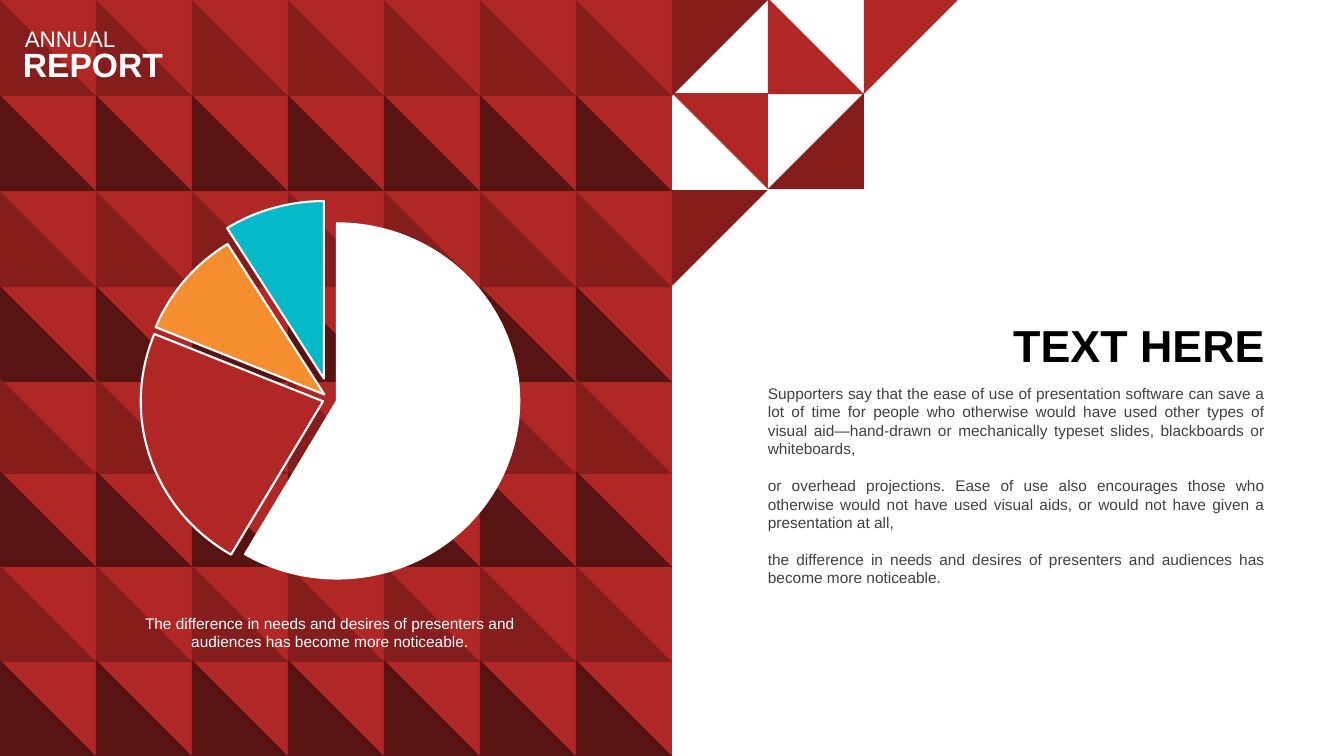
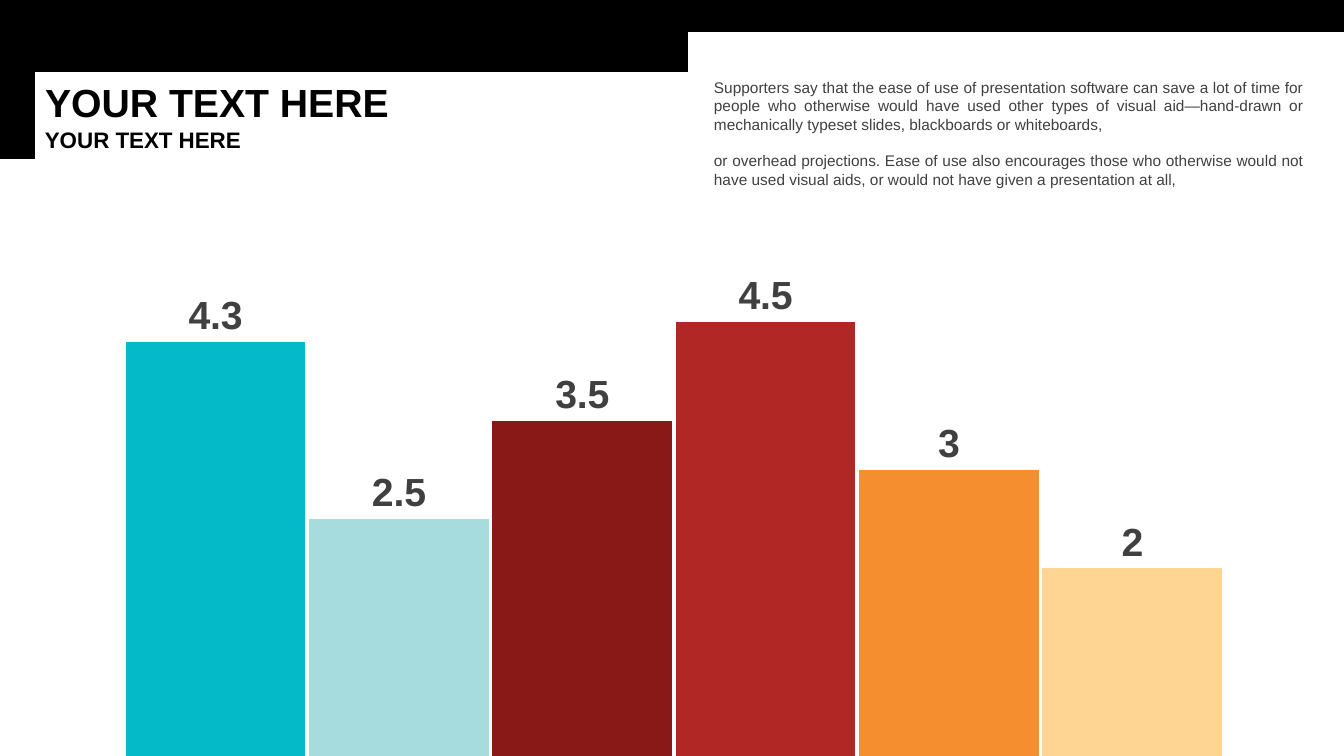
"""Build two annual report slides with a pie chart and a column chart."""
from lxml.etree import SubElement
from pptx import Presentation
from pptx.chart.data import CategoryChartData
from pptx.dml.color import RGBColor
from pptx.enum.chart import XL_CHART_TYPE, XL_LABEL_POSITION, XL_TICK_MARK
from pptx.enum.shapes import MSO_SHAPE
from pptx.enum.text import MSO_ANCHOR, MSO_AUTO_SIZE, PP_ALIGN
from pptx.oxml.ns import qn
from pptx.util import Pt

PX = 914400 / 100.8
WIDTH, HEIGHT = 1344, 756
FONT = "Arial"
RED, CRIMSON, MAROON, BRICK = "B12725", "851D1C", "581413", "891917"
TEAL, AQUA, ORANGE, PEACH = "05BAC8", "A7DCDE", "F58E2E", "FED593"
BLACK, WHITE, GRAY = "000000", "FFFFFF", "404040"

BODY_STYLE = {"size": 11, "color": GRAY, "align": PP_ALIGN.JUSTIFY}
SUPPORTERS = (
    "Supporters say that the ease of use of presentation software can save a lot of time "
    "for people who otherwise would have used other types of visual aid—hand-drawn or "
    "mechanically typeset slides, blackboards or whiteboards,"
)
PROJECTIONS = (
    "or overhead projections. Ease of use also encourages those who otherwise would not "
    "have used visual aids, or would not have given a presentation at all,"
)
NEEDS = "difference in needs and desires of presenters and audiences has become more noticeable."

CELL = 96
PANEL_WIDTH = 7 * CELL
ROW_TOPS = [0, 95, 191, 286, 378, 471, 566, 660]
CORNER_TRIANGLES = [
    (0, 93, 180, RED),
    (1, -2, 0, RED),
    (0, 0, 90, CRIMSON),
    (1, 93, 270, CRIMSON),
    (2, -2, 90, RED),
    (0, 190, 90, CRIMSON),
]
BLACK_BANDS = [(0, 72, 35, 87), (0, 0, 688, 72), (688, 0, 656, 32)]

PIE_SLICES = [("1", 59, WHITE, 4), ("2", 23, RED, 4), ("3", 10, ORANGE, 4), ("4", 9, TEAL, 12)]
COLUMNS = [
    ("A", 4.3, TEAL), ("B", 2.5, AQUA), ("C", 3.5, BRICK),
    ("D", 4.5, RED), ("E", 3, ORANGE), ("F", 2, PEACH),
]


def px(*lengths):
    return [round(length * PX) for length in lengths]


def color(value):
    return RGBColor.from_string(value)


def style_font(font, size, ink, bold=False):
    for name, value in {"name": FONT, "size": Pt(size), "bold": bold}.items():
        setattr(font, name, value)
    font.color.rgb = color(ink)


def write(box, paragraphs, style, wrap=True):
    frame = box.text_frame
    settings = {
        "word_wrap": wrap,
        "auto_size": MSO_AUTO_SIZE.NONE,
        "vertical_anchor": MSO_ANCHOR.TOP,
    }
    for name, value in settings.items():
        setattr(frame, name, value)
    for index, text in enumerate(paragraphs):
        para = frame.add_paragraph() if index else frame.paragraphs[0]
        para.alignment = style.get("align", PP_ALIGN.LEFT)
        para.space_before = Pt(13 if index else 0)
        span = para.add_run()
        span.text = text
        style_font(span.font, style["size"], style["color"], style.get("bold", False))


def add_text(page, place, paragraphs, style, wrap=True):
    write(page.shapes.add_textbox(*px(*place)), paragraphs, style, wrap)


def add_titled_page(deck, place, text, style):
    page = deck.slides.add_slide(deck.slide_layouts[5])
    title = page.shapes.title
    for name, value in zip(("left", "top", "width", "height"), px(*place)):
        setattr(title, name, value)
    write(title, [text], {"color": BLACK, "bold": True, **style})
    return page


def add_block(page, kind, place, fill, rotation=0):
    block = page.shapes.add_shape(kind, *px(*place))
    block.shadow.inherit = False
    block.rotation = rotation
    block.fill.solid()
    block.fill.fore_color.rgb = color(fill)
    block.line.fill.background()


def place_plot(chart, bounds):
    area = chart.element.find(".//" + qn("c:plotArea"))
    for old in area.findall(qn("c:layout")):
        area.remove(old)
    layout = SubElement(area, qn("c:layout"))
    area.insert(0, layout)
    manual = SubElement(layout, qn("c:manualLayout"))
    values = [("layoutTarget", "inner"), ("xMode", "edge"), ("yMode", "edge")]
    for name, value in values + list(zip("xywh", bounds)):
        SubElement(manual, qn(f"c:{name}")).set("val", str(value))


def add_colored_chart(page, kind, place, rows, bounds):
    data = CategoryChartData()
    data.categories = [row[0] for row in rows]
    data.add_series("Series 1", [row[1] for row in rows])
    chart = page.shapes.add_chart(kind, *px(*place), data).chart
    chart.has_title = False
    chart.has_legend = False
    style_font(chart.font, 10, BLACK)
    chart.plots[0].vary_by_categories = False
    series = chart.plots[0].series[0]
    for index, row in enumerate(rows):
        fill = series.points[index].format.fill
        fill.solid()
        fill.fore_color.rgb = color(row[2])
    place_plot(chart, bounds)
    return chart


def add_pie(page):
    chart = add_colored_chart(
        page, XL_CHART_TYPE.PIE, (36, 200, 588, 392), PIE_SLICES, (0.19, 0.03, 0.62, 0.93)
    )
    series = chart.plots[0].series[0]
    for index in range(len(PIE_SLICES)):
        line = series.points[index].format.line
        line.color.rgb = color(WHITE)
        line.width = Pt(1.5)
    for point, row in zip(chart.element.iter(qn("c:dPt")), PIE_SLICES):
        explosion = SubElement(point, qn("c:explosion"))
        explosion.set("val", str(row[3]))
        point.find(qn("c:spPr")).addprevious(explosion)


def add_columns(page):
    chart = add_colored_chart(
        page, XL_CHART_TYPE.COLUMN_CLUSTERED, (101, 262, 1146, 536), COLUMNS,
        (0.02, 0.02, 0.96, 0.92),
    )
    plot = chart.plots[0]
    plot.gap_width = 2
    plot.has_data_labels = True
    labels = plot.data_labels
    labels.show_value = True
    labels.position = XL_LABEL_POSITION.OUTSIDE_END
    style_font(labels.font, 28, GRAY, True)
    values = chart.value_axis
    limits = {"minimum_scale": 0, "maximum_scale": 5, "has_major_gridlines": False, "visible": False}
    for name, value in limits.items():
        setattr(values, name, value)
    categories = chart.category_axis
    categories.major_tick_mark = XL_TICK_MARK.NONE
    style_font(categories.tick_labels.font, 12, "595959")
    categories.format.line.color.rgb = color("D9D9D9")
    categories.format.line.width = Pt(0.75)


def build_report_page(deck):
    page = add_titled_page(
        deck, (1003, 313, 272, 65), "TEXT HERE", {"size": 32, "align": PP_ALIGN.RIGHT}
    )
    add_block(page, MSO_SHAPE.RECTANGLE, (0, 0, PANEL_WIDTH, HEIGHT), RED)
    triangles = [
        (column * CELL, top, 0, MAROON if row % 2 else CRIMSON)
        for row, top in enumerate(ROW_TOPS)
        for column in range(PANEL_WIDTH // CELL)
    ]
    triangles += [
        (PANEL_WIDTH + column * CELL, top, turn, fill)
        for column, top, turn, fill in CORNER_TRIANGLES
    ]
    for left, top, turn, fill in triangles:
        add_block(page, MSO_SHAPE.RIGHT_TRIANGLE, (left, top, CELL, CELL), fill, turn)
    add_pie(page)
    add_text(page, (15, 20, 112, 37), ["ANNUAL"], {"size": 16, "color": WHITE}, False)
    add_text(page, (13, 39, 161, 50), ["REPORT"], {"size": 24, "color": WHITE, "bold": True}, False)
    add_text(page, (758, 379, 517, 216), [SUPPORTERS, PROJECTIONS, f"the {NEEDS}"], BODY_STYLE)
    caption_style = {"size": 11, "color": WHITE, "align": PP_ALIGN.CENTER}
    add_text(page, (127, 609, 406, 47), [f"The {NEEDS}"], caption_style)


def build_columns_page(deck):
    page = add_titled_page(deck, (35, 73, 710, 57), "YOUR TEXT HERE", {"size": 28})
    subtitle_style = {"size": 16, "color": BLACK, "bold": True}
    add_text(page, (35, 121, 239, 37), ["YOUR TEXT HERE"], subtitle_style)
    add_columns(page)
    for band in BLACK_BANDS:
        add_block(page, MSO_SHAPE.RECTANGLE, band, BLACK)
    add_text(page, (704, 73, 610, 122), [SUPPORTERS, PROJECTIONS], BODY_STYLE)


def main():
    deck = Presentation()
    deck.slide_width, deck.slide_height = px(WIDTH, HEIGHT)
    build_report_page(deck)
    build_columns_page(deck)
    deck.save("out.pptx")


if __name__ == "__main__":
    main()
